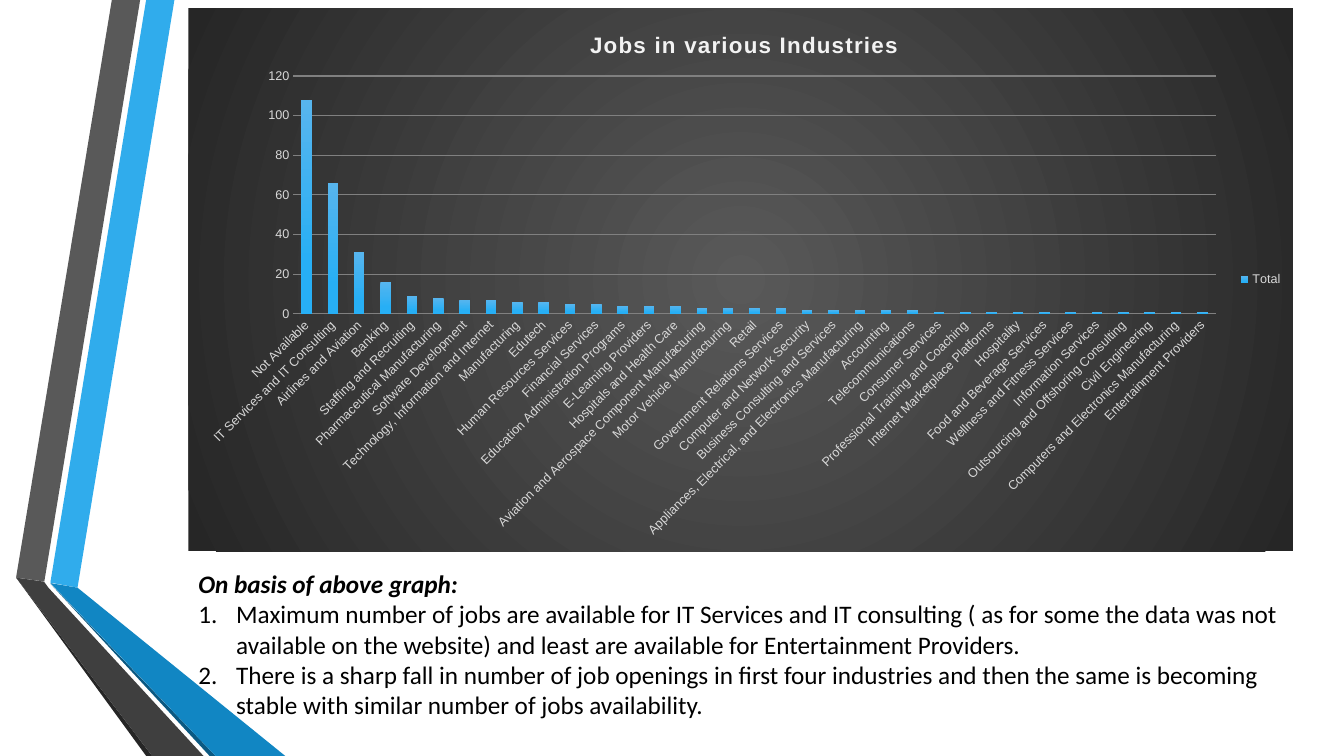
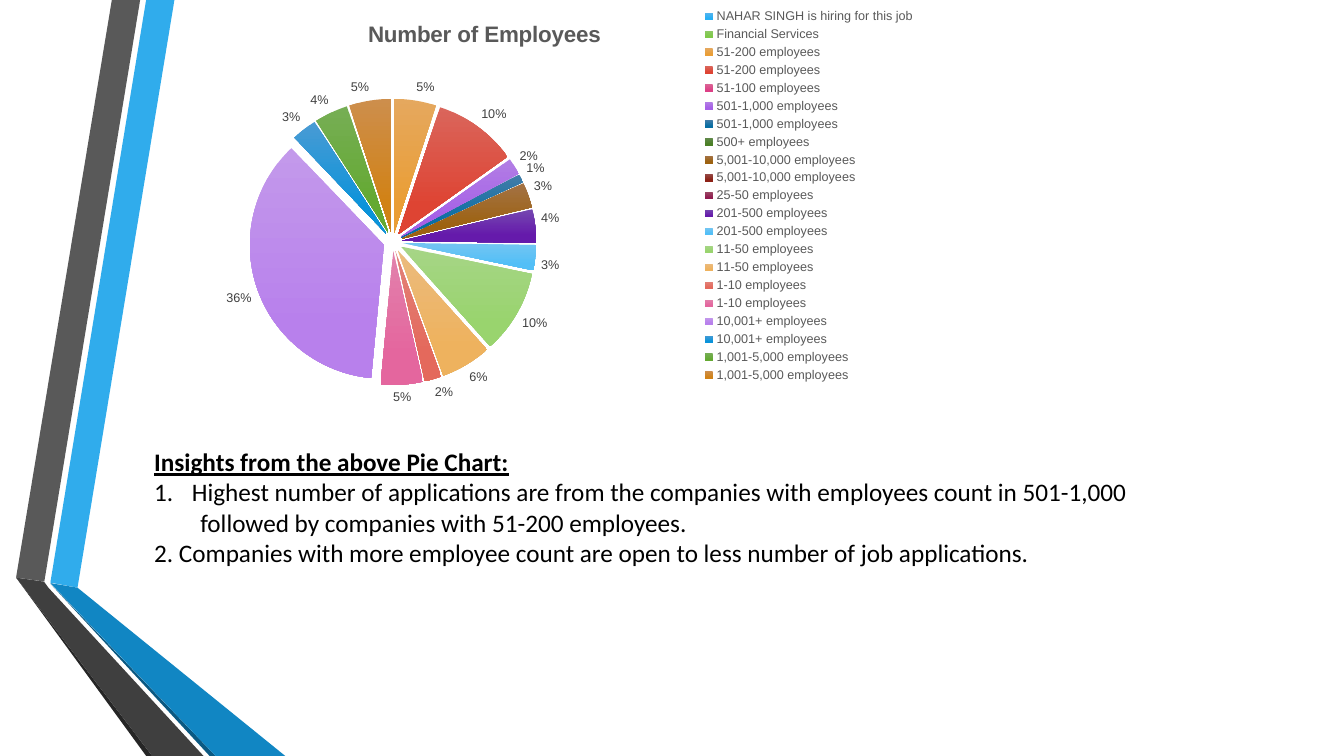
from lxml.etree import SubElement
from pptx import Presentation
from pptx.chart.data import CategoryChartData
from pptx.dml.color import RGBColor
from pptx.enum.chart import XL_CHART_TYPE, XL_LABEL_POSITION, XL_LEGEND_POSITION, XL_TICK_MARK
from pptx.oxml import parse_xml
from pptx.oxml.ns import nsdecls, qn
from pptx.util import Pt

BLACK, GRAY, LIGHT = "000000", "595959", "D9D9D9"

# Side ribbon, in points, from back to front
RIBBON = [
    ("30ACEC", [(36, 416.2), (55.4, 419.8), (124.6, 0), (104.4, 0)]),
    (GRAY, [(100.1, 0), (79.9, 0), (11.5, 412.6), (31.7, 415.4)]),
    ("262626", [(11.5, 412.6), (104.4, 540), (108.7, 540)]),
    ("0B5982", [(36, 416.9), (149.8, 540), (154.1, 540)]),
    ("1186C3", [(36, 416.5), (154.1, 540), (203.8, 540), (55.4, 419.8)]),
    ("3F3F3F", [(145.4, 540), (34.6, 419.8), (31.5, 415.5), (11.5, 412.6), (108.7, 540)]),
]

INDUSTRIES = [
    ("Not Available", 108),
    ("IT Services and IT Consulting", 66),
    ("Airlines and Aviation", 31),
    ("Banking", 16),
    ("Staffing and Recruiting", 9),
    ("Pharmaceutical Manufacturing", 8),
    ("Software Development", 7),
    ("Technology, Information and Internet", 7),
    ("Manufacturing", 6),
    ("Edutech", 6),
    ("Human Resources Services", 5),
    ("Financial Services", 5),
    ("Education Administration Programs", 4),
    ("E-Learning Providers", 4),
    ("Hospitals and Health Care", 4),
    ("Aviation and Aerospace Component Manufacturing", 3),
    ("Motor Vehicle Manufacturing", 3),
    ("Retail", 3),
    ("Government Relations Services", 3),
    ("Computer and Network Security", 2),
    ("Business Consulting and Services", 2),
    ("Appliances, Electrical, and Electronics Manufacturing", 2),
    ("Accounting", 2),
    ("Telecommunications", 2),
    ("Consumer Services", 1),
    ("Professional Training and Coaching", 1),
    ("Internet Marketplace Platforms", 1),
    ("Hospitality", 1),
    ("Food and Beverage Services", 1),
    ("Wellness and Fitness Services", 1),
    ("Information Services", 1),
    ("Outsourcing and Offshoring Consulting", 1),
    ("Civil Engineering", 1),
    ("Computers and Electronics Manufacturing", 1),
    ("Entertainment Providers", 1),
]

# Label, percentage, gradient start, gradient end
COMPANY_SIZES = [
    ("NAHAR SINGH is hiring for this job", 0, "57B5EE", "27AFF5"),
    ("Financial Services", 0, "8FC968", "7FC949"),
    ("51-200 employees", 5, "E5A85E", "EA9E36"),
    ("51-200 employees", 10, "DA655B", "DE4433"),
    ("51-100 employees", 0, "DA6495", "DD4086"),
    ("501-1,000 employees", 2, "B27DE5", "A660E7"),
    ("501-1,000 employees", 1, "427CA8", "076EA3"),
    ("500+ employees", 0, "61894B", "4B7F26"),
    ("5,001-10,000 employees", 3, "A37244", "9D6210"),
    ("5,001-10,000 employees", 0, "954A46", "8D2217"),
    ("25-50 employees", 0, "994764", "911A4F"),
    ("201-500 employees", 4, "7547B0", "651AAB"),
    ("201-500 employees", 3, "74C5F2", "52BFF7"),
    ("11-50 employees", 10, "A6D586", "99D46E"),
    ("11-50 employees", 6, "EBBB7D", "EEB25E"),
    ("1-10 employees", 2, "E2837A", "E4695C"),
    ("1-10 employees", 5, "E282AC", "E4669E"),
    ("10,001+ employees", 36, "C399EB", "B880EC"),
    ("10,001+ employees", 3, "499BD4", "0A93DA"),
    ("1,001-5,000 employees", 4, "76AE54", "64A932"),
    ("1,001-5,000 employees", 5, "CD8E4C", "D18216"),
]


def set_values(target, values):
    for name, value in values.items():
        setattr(target, name, value)


def set_color(color_format, value):
    color_format.rgb = RGBColor.from_string(value)


def set_font(font, color, size=9, name="Arial", **values):
    set_values(font, {"size": Pt(size), "name": name, **values})
    set_color(font.color, color)


def fill_gradient(element_format, start, end):
    """Fade downwards from start to end, and drop the outline."""
    fill = element_format.fill
    fill.gradient()
    fill.gradient_angle = 270
    for stop, color, position in zip(fill.gradient_stops, (start, end), (0, 0.78)):
        set_color(stop.color, color)
        stop.position = position
    element_format.line.fill.background()


def place(element, index, inner=False, **box):
    """Fix the layout of a chart part as fractions of the chart."""
    for layout in element.findall(qn("c:layout")):
        element.remove(layout)
    layout = parse_xml(f"<c:layout {nsdecls('c')}><c:manualLayout/></c:layout>")
    values = {"layoutTarget": "inner"} if inner else {}
    values |= {f"{key}Mode": "edge" for key in "xy"} | box
    for name, value in values.items():
        SubElement(layout[0], qn(f"c:{name}")).set("val", str(value))
    element.insert(index, layout)


def add_ribbon(slide):
    """Draw the ribbon once and move it to the layout that the slides share."""
    for color, points in RIBBON:
        start, *rest = [(Pt(x), Pt(y)) for x, y in points]
        builder = slide.shapes.build_freeform(*start)
        builder.add_line_segments(rest, close=True)
        shape = builder.convert_to_shape()
        shape.shadow.inherit = False
        shape.fill.solid()
        set_color(shape.fill.fore_color, color)
        shape.line.fill.background()
        slide.slide_layout.shapes.element.append(shape.element)


def add_chart(slide, kind, box, rows, series_name, plot_box):
    data = CategoryChartData()
    data.categories = [row[0] for row in rows]
    data.add_series(series_name, [row[1] for row in rows])
    chart = slide.shapes.add_chart(kind, *map(Pt, box), data).chart
    set_font(chart.font, BLACK, 10)
    place(chart.element.find(".//" + qn("c:plotArea")), 0, inner=True, **plot_box)
    chart.plots[0].vary_by_categories = False
    return chart


def add_title(chart, text, color, x, y, spacing=0):
    title = chart.chart_title
    run = title.text_frame.paragraphs[0].add_run()
    run.text = text
    set_font(run.font, color, 16, bold=True)
    run._r.get_or_add_rPr().set("spc", str(spacing))
    place(title._element, 1, x=x, y=y)


def add_legend(chart, color):
    chart.has_legend = True
    set_values(chart.legend, {"position": XL_LEGEND_POSITION.RIGHT, "include_in_layout": False})
    set_font(chart.legend.font, color)


def style_axis(axis):
    none = XL_TICK_MARK.NONE
    set_values(axis, {"major_tick_mark": none, "minor_tick_mark": none})
    axis.format.line.fill.background()
    set_font(axis.tick_labels.font, LIGHT)


def add_dark_background(chart):
    background = parse_xml(
        f'<c:spPr {nsdecls("c", "a")}><a:gradFill><a:gsLst>'
        '<a:gs pos="0"><a:srgbClr val="595959"/></a:gs>'
        '<a:gs pos="100000"><a:srgbClr val="262626"/></a:gs></a:gsLst>'
        '<a:path path="circle"><a:fillToRect l="50000" t="50000" r="50000" b="50000"/></a:path>'
        '</a:gradFill><a:ln><a:noFill/></a:ln></c:spPr>')
    chart.element.find(qn("c:chart")).addnext(background)


def add_industry_chart(slide):
    chart = add_chart(slide, XL_CHART_TYPE.COLUMN_STACKED, (134.6, 5.8, 789, 388), INDUSTRIES,
                      "Total", {"x": 0.095, "y": 0.125, "w": 0.835, "h": 0.438})
    add_dark_background(chart)
    add_title(chart, "Jobs in various Industries", "F2F2F2", 0.36, 0.035, spacing=100)
    add_legend(chart, LIGHT)
    set_values(chart.plots[0], {"gap_width": 150, "overlap": 100})
    fill_gradient(chart.series[0].format, "57B5EE", "27AFF5")
    for axis in (chart.category_axis, chart.value_axis):
        style_axis(axis)
    chart.category_axis._element.find(".//" + qn("a:bodyPr")).set("rot", "-2700000")
    set_values(chart.value_axis, {"minimum_scale": 0, "maximum_scale": 120, "major_unit": 20})
    gridline = chart.value_axis.major_gridlines.format.line
    gridline.width = Pt(0.75)
    set_color(gridline.color, "808080")


def add_size_chart(slide):
    chart = add_chart(slide, XL_CHART_TYPE.PIE, (88.6, -6.5, 579, 296), COMPANY_SIZES,
                      "Series 1", {"x": 0.154, "y": 0.261, "w": 0.355, "h": 0.692})
    add_title(chart, "Number of Employees", GRAY, 0.296, 0.06)
    add_legend(chart, GRAY)
    place(chart.legend._element, 1, x=0.7, y=0.036, w=0.29, h=0.92)
    plot, series = chart.plots[0], chart.series[0]
    plot.vary_by_categories = True
    for index, (_, _, start, end) in enumerate(COMPANY_SIZES):
        fill_gradient(series.points[index].format, start, end)
    explosion = parse_xml(f'<c:explosion {nsdecls("c")} val="7"/>')
    series._element.find(qn("c:tx")).addnext(explosion)
    plot.has_data_labels = True
    set_values(plot.data_labels, {
        "show_percentage": True, "show_value": False, "number_format": "0%",
        "number_format_is_linked": False, "position": XL_LABEL_POSITION.OUTSIDE_END})
    set_font(plot.data_labels.font, "404040")


def add_notes_box(slide, box, heading, heading_style, lines):
    """Write a heading and lines of (text, left margin, numbered)."""
    frame = slide.shapes.add_textbox(*map(Pt, box)).text_frame
    frame.word_wrap = True
    rows = [(heading, 0, False, heading_style)] + [(*line, {}) for line in lines]
    for index, (text, margin, numbered, style) in enumerate(rows):
        paragraph = frame.add_paragraph() if index else frame.paragraphs[0]
        run = paragraph.add_run()
        run.text = text
        set_font(run.font, BLACK, 18, "Calibri", **style)
        properties = paragraph._p.get_or_add_pPr()
        properties.set("marL", str(Pt(margin)))
        if numbered:
            properties.set("indent", str(-Pt(margin)))
            SubElement(properties, qn("a:buAutoNum")).set("type", "arabicPeriod")


def main():
    presentation = Presentation()
    set_values(presentation, {"slide_width": Pt(960), "slide_height": Pt(540)})
    blank = presentation.slide_layouts[6]
    industry_slide, size_slide = [presentation.slides.add_slide(blank) for _ in range(2)]
    add_ribbon(industry_slide)

    add_industry_chart(industry_slide)
    add_notes_box(
        industry_slide, (134.6, 402.5, 793, 116.6),
        "On basis of above graph:", {"bold": True, "italic": True}, [
            ("Maximum number of jobs are available for IT Services and IT consulting ( as for some "
             "the data was not available on the website) and least are available for "
             "Entertainment Providers.", 27, True),
            ("There is a sharp fall in number of job openings in first four industries and then "
             "the same is becoming stable with similar number of jobs availability.", 27, True)])

    add_size_chart(size_slide)
    add_notes_box(
        size_slide, (103, 315.4, 746, 94.3),
        "Insights from the above Pie Chart:", {"bold": True, "underline": True}, [
            ("Highest number of applications are from the companies with employees count in "
             "501-1,000", 27, True),
            ("followed by companies with 51-200 employees.", 33, False),
            ("2. Companies with more employee count are open to less number of job applications.",
             0, False)])
    presentation.save("out.pptx")


if __name__ == "__main__":
    main()
